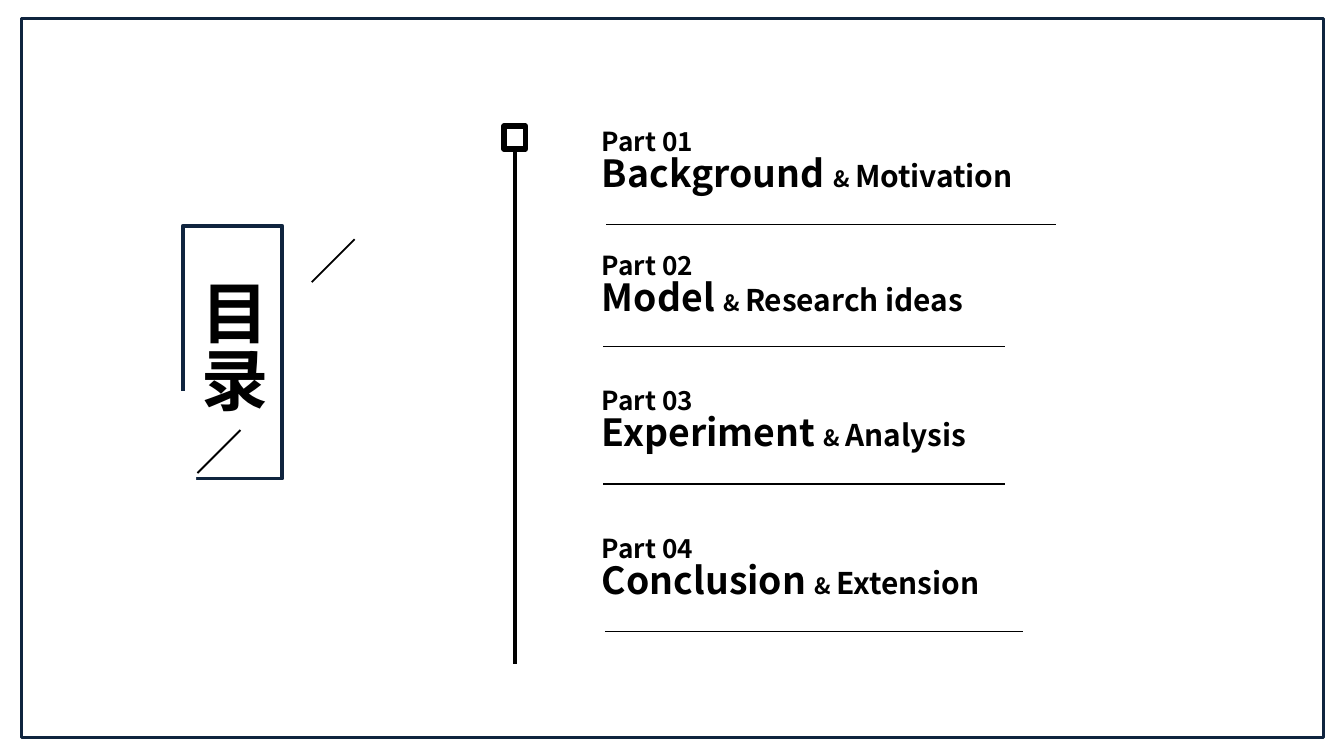
from lxml import etree
from pptx import Presentation
from pptx.dml.color import RGBColor
from pptx.enum import shapes, text
from pptx.oxml import ns
from pptx.util import Pt

FONT = "Noto Sans CJK SC"
NAVY = RGBColor(0x0F, 0x24, 0x3E)
BLACK = RGBColor(0, 0, 0)
WHITE = RGBColor(0xFF, 0xFF, 0xFF)

HEADING = "目录"
PARTS = [
    ("Part 01", "Background ", "Motivation", 66.2, (324.7, 565.9, 120.2)),
    ("Part 02", "Model ", "Research ideas", 132.5, (323.3, 538.6, 185.8)),
    ("Part 03", "Experiment ", "Analysis", 205.2, (323.3, 538.6, 259.2)),
    ("Part 04", "Conclusion ", "Extension", 284.4, (324, 547.9, 338.4)),
]
SLASHES = [(167, 128.2), (105.8, 230.4)]
SLASH_SIZE = 23
PART_LEFT, PART_WIDTH, PART_HEIGHT = 315.4, 271, 48.2

deck = Presentation()
deck.slide_width, deck.slide_height = Pt(720), Pt(405)
slide = deck.slides.add_slide(deck.slide_layouts[5])


def add_box(left, top, width, height, line=None, weight=0, fill=None):
    box = slide.shapes.add_shape(
        shapes.MSO_SHAPE.RECTANGLE, Pt(left), Pt(top), Pt(width), Pt(height))
    box.shadow.inherit = False
    if fill is None:
        box.fill.background()
    else:
        box.fill.solid()
        box.fill.fore_color.rgb = fill
    if line is None:
        box.line.fill.background()
    else:
        box.line.color.rgb = line
        box.line.width = Pt(weight)
    return box


def add_rule(x1, y1, x2, y2, weight):
    rule = slide.shapes.add_connector(
        shapes.MSO_CONNECTOR.STRAIGHT, Pt(x1), Pt(y1), Pt(x2), Pt(y2))
    rule.line.color.rgb = BLACK
    rule.line.width = Pt(weight)
    etree.SubElement(rule._element.spPr, ns.qn("a:effectLst"))
    return rule


def add_run(paragraph, words, size):
    run = paragraph.add_run()
    run.text = words
    run.font.name = FONT
    run.font.size = Pt(size)
    run.font.bold = True
    run.font.color.rgb = BLACK
    etree.SubElement(run.font._element, ns.qn("a:ea"), typeface=FONT)


add_box(11.5, 10.1, 697.7, 385.2, NAVY, 1.5)
add_box(97.9, 121, 53.3, 135.4, NAVY, 2)
add_box(94.3, 209.5, 10.8, 65.5, fill=WHITE)

title = slide.shapes.title
title.left, title.top, title.width, title.height = Pt(95), Pt(146.2), Pt(58.3), Pt(88.6)
heading = title.text_frame
heading.auto_size = text.MSO_AUTO_SIZE.NONE
heading.vertical_anchor = text.MSO_ANCHOR.TOP
heading._txBody.bodyPr.set("vert", "eaVert")
heading.paragraphs[0].alignment = text.PP_ALIGN.CENTER
add_run(heading.paragraphs[0], HEADING, 36)

for left, top in SLASHES:
    add_rule(left + SLASH_SIZE, top, left, top + SLASH_SIZE, 1)

marker = add_box(270, 67.7, 11.5, 12.2, BLACK, 3)
timeline = add_rule(275.75, 79.9, 275.75, 355.7, 2.25)
timeline.begin_connect(marker, 2)

for number, topic, detail, top, (start, end, level) in PARTS:
    part = slide.shapes.add_textbox(
        Pt(PART_LEFT), Pt(top), Pt(PART_WIDTH), Pt(PART_HEIGHT)).text_frame
    part.word_wrap = True
    lines = part.paragraphs[0], part.add_paragraph()
    for line in lines:
        line.line_spacing = 0.85
    add_run(lines[0], number, 14)
    for words, size in ((topic, 20), ("& ", 12), (detail, 16)):
        add_run(lines[1], words, size)
    add_rule(start, level, end, level, 0.75)

deck.save("out.pptx")
